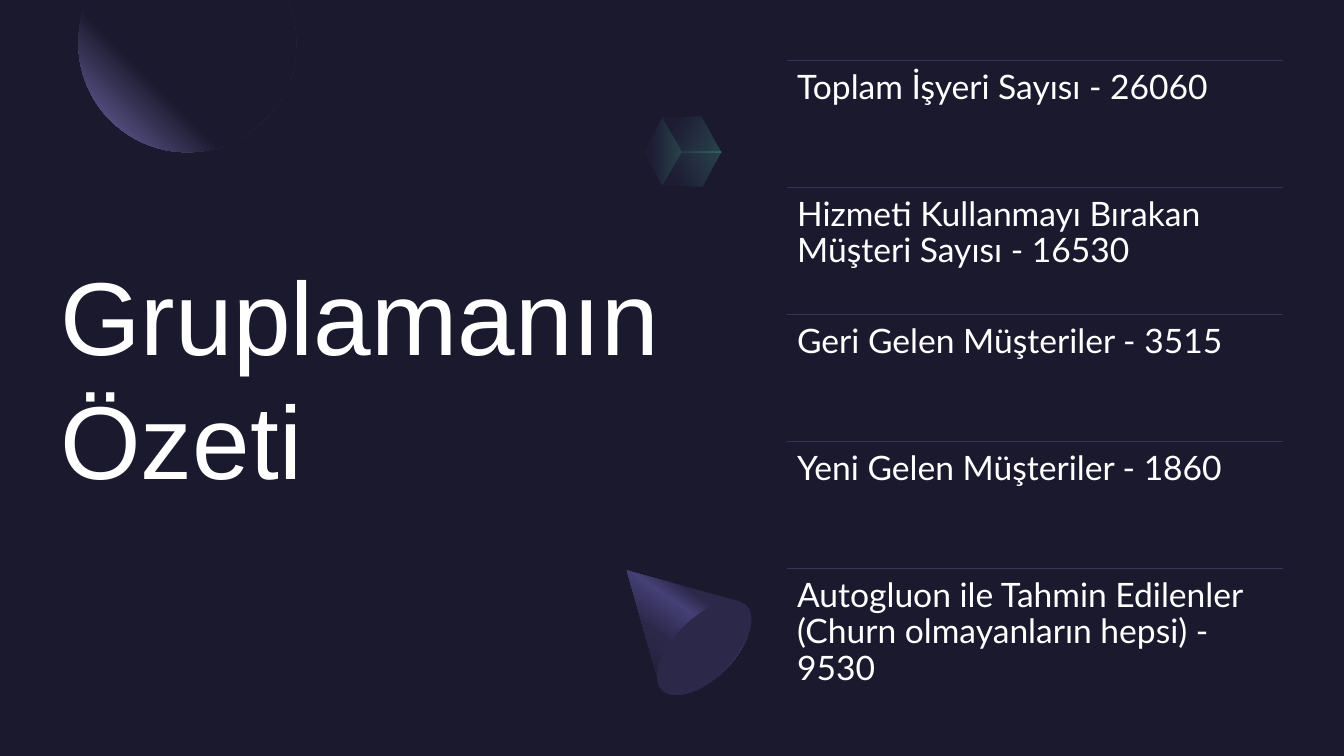
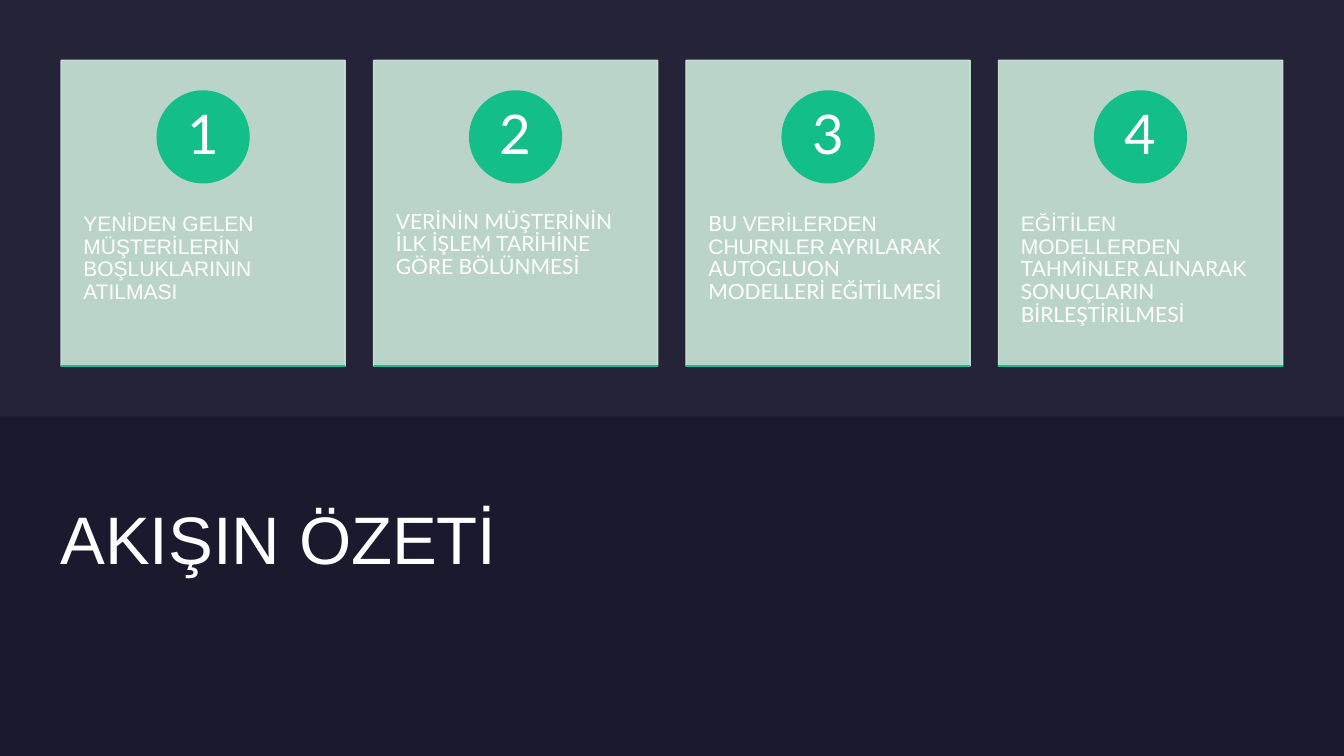
"""Build two dark slides: a grouping summary and a four-step flow summary."""
from dataclasses import dataclass

from lxml.etree import SubElement
from pptx import Presentation
from pptx.dml.color import RGBColor
from pptx.enum.shapes import MSO_CONNECTOR, MSO_SHAPE
from pptx.enum.text import MSO_ANCHOR, PP_ALIGN
from pptx.oxml.ns import qn
from pptx.util import Pt


@dataclass(frozen=True)
class Theme:
    """Colours, fonts and type sizes shared by the slides."""
    night: str = "1B192E"
    white: str = "FFFFFF"
    divider: str = "37335B"
    haze: str = "E4E3F0"
    mint: str = "CCE8DA"
    green: str = "13BE89"
    aqua: str = "5BEFC1"
    plum: str = "2C284A"
    violet: str = "454075"
    lilac: str = "7771B2"
    heading: str = "Arial"
    body: str = "Lato"
    hero_size: float = 74
    title_size: float = 48
    number_size: float = 39
    item_size: float = 24
    step_size: float = 15


THEME = Theme()
WIDTH, HEIGHT = 960, 540
MARGIN = 43.2

SUMMARY = [
    "Toplam İşyeri Sayısı - 26060",
    "Hizmeti Kullanmayı Bırakan Müşteri Sayısı - 16530",
    "Geri Gelen Müşteriler - 3515",
    "Yeni Gelen Müşteriler - 1860",
    "Autogluon ile Tahmin Edilenler (Churn olmayanların hepsi) - 9530",
]
STEPS = [
    [("YENİDEN GELEN MÜŞTERİLERİN BOŞLUKLARININ ATILMASI", THEME.heading)],
    [("VERİNİN MÜŞTERİNİN İLK İŞLEM TARİHİNE GÖRE BÖLÜNMESİ", THEME.body)],
    [("BU ", THEME.body), ("VERİLERDEN CHURNLER", THEME.heading),
     (" AYRILARAK AUTOGLUON MODELLERİ EĞİTİLMESİ", THEME.body)],
    [("EĞİTİLEN MODELLERDEN", THEME.heading),
     (" TAHMİNLER ALINARAK SONUÇLARIN BİRLEŞTİRİLMESİ", THEME.body)],
]
SPHERE = [
    [(62.6, 0)], [(205.2, 0)], [(205.6, 0.7)],
    [(209.4, 10.1), (211.6, 20.3), (211.6, 31)],
    [(211.6, 73.8), (176.6, 108.7), (133.9, 108.7)],
    [(90.9, 108.7), (56.1, 73.8), (56.1, 31)],
    [(56.1, 20.3), (58.2, 10.1), (62.1, 0.7)],
]
CUBE_FACES = [
    ([[(501.1, 83.6)], [(473, 84.2)], [(486.7, 108.7)], [(515.5, 108.7)]], 30),
    ([[(473, 132.5)], [(459.4, 108.7)], [(473, 84.2)], [(486.7, 108.7)]], 0),
    ([[(515.5, 108.7)], [(501.8, 133.2)], [(473, 132.5)], [(486.7, 108.7)]], 330),
]
CONE_SIDE = [
    [(447.8, 407.5)], [(529.2, 429.8)], [(529.9, 430.6)],
    [(531.4, 430.6), (532.1, 431.3), (533.5, 432.7)],
    [(541.4, 440.6), (535, 460.8), (518.4, 478.1)],
    [(501.8, 494.6), (481.7, 501.1), (473, 492.5)],
    [(472.3, 491.8), (471.6, 490.3), (470.9, 488.9)], [(470.9, 488.2)],
]


def apply_format(target, values):
    """Set each named attribute of the target."""
    for name, value in values.items():
        setattr(target, name, value)


def fade(fill_parent, opacity):
    """Give the colours below an element an opacity in percent."""
    for colour in fill_parent.iter(qn("a:srgbClr")):
        SubElement(colour, qn("a:alpha"), val=str(opacity * 1000))


def add_text(slide, box, runs, size, line_spacing=None, align=PP_ALIGN.LEFT,
             anchor=MSO_ANCHOR.TOP, insets=(0, 0)):
    """Add a wrapped text box with runs of (text, font) in one paragraph."""
    frame = slide.shapes.add_textbox(*map(Pt, box)).text_frame
    across, down = map(Pt, insets)
    apply_format(frame, {
        "word_wrap": True, "vertical_anchor": anchor,
        "margin_left": across, "margin_right": across,
        "margin_top": down, "margin_bottom": down})
    paragraph = frame.paragraphs[0]
    apply_format(paragraph, {"alignment": align, "line_spacing": line_spacing})
    for text, font in runs:
        run = paragraph.add_run()
        run.text = text
        apply_format(run.font, {"name": font, "size": Pt(size)})
        run.font.color.rgb = RGBColor.from_string(THEME.white)


def add_block(slide, preset, box, colour, opacity=100, outlined=False, turn=0):
    """Add a flat preset shape in one colour."""
    block = slide.shapes.add_shape(preset, *map(Pt, box))
    block.rotation = turn
    block.shadow.inherit = False
    block.fill.solid()
    block.fill.fore_color.rgb = RGBColor.from_string(colour)
    if outlined:
        block.line.color.rgb = RGBColor.from_string(colour)
        block.line.width = Pt(1)
    else:
        block.line.fill.background()
    if opacity < 100:
        fade(block.element.spPr, opacity)


def add_rule(slide, left, right, y, colour):
    """Add a thin horizontal line."""
    rule = slide.shapes.add_connector(
        MSO_CONNECTOR.STRAIGHT, Pt(left), Pt(y), Pt(right), Pt(y))
    rule.line.color.rgb = RGBColor.from_string(colour)
    rule.line.width = Pt(1)
    SubElement(rule.element.spPr, qn("a:effectLst"))


def bend(outline, segments):
    """Turn every three-point segment of an outline into a cubic curve."""
    lines = outline.element.spPr.iter(qn("a:lnTo"))
    remaining = iter(list(lines))
    for segment in segments:
        edges = [next(remaining) for _ in segment]
        if len(edges) == 3:
            curve = SubElement(edges[0].getparent(), qn("a:cubicBezTo"))
            edges[0].addprevious(curve)
            for edge in edges:
                curve.append(edge[0])
                edge.getparent().remove(edge)


def add_gradient_outline(slide, segments, stops, angle=None, opacity=100):
    """Add a closed outline with a linear gradient, or a radial one without angle."""
    points = [(Pt(x), Pt(y)) for segment in segments for x, y in segment]
    builder = slide.shapes.build_freeform(*points[0], scale=1.0)
    builder.add_line_segments(points[1:], close=True)
    outline = builder.convert_to_shape()
    bend(outline, segments[1:])
    outline.shadow.inherit = False
    outline.line.fill.background()
    outline.fill.gradient()
    gradient = outline.element.spPr.find(qn("a:gradFill"))
    for child in list(gradient):
        gradient.remove(child)
    stop_list = SubElement(gradient, qn("a:gsLst"))
    for position, colour in stops:
        stop = SubElement(stop_list, qn("a:gs"), pos=str(position * 1000))
        SubElement(stop, qn("a:srgbClr"), val=colour)
    if opacity < 100:
        fade(stop_list, opacity)
    if angle is None:
        radial = SubElement(gradient, qn("a:path"), path="circle")
        SubElement(radial, qn("a:fillToRect"), l="100000", b="100000")
    else:
        SubElement(gradient, qn("a:lin"), ang=str(angle * 60000), scaled="0")


def add_ornaments(slide):
    """Add the shaded sphere, the translucent cube and the tilted cone."""
    add_gradient_outline(slide, SPHERE, [(60, THEME.night), (100, THEME.lilac)])
    for face, angle in CUBE_FACES:
        add_gradient_outline(slide, face, [(20, THEME.plum), (100, THEME.aqua)],
                             angle, opacity=20)
    add_gradient_outline(
        slide, CONE_SIDE,
        [(30, THEME.plum), (40, THEME.violet), (60, THEME.plum), (100, THEME.night)],
        angle=125)
    add_block(slide, MSO_SHAPE.OVAL, (481.7, 420.5, 42.5, 85), THEME.plum, turn=45)


def add_summary_item(slide, index, text):
    """Add one ruled line of the summary list."""
    left, width, pitch = 562.3, 354.2, 90.72
    top = MARGIN + index * pitch
    add_rule(slide, left, left + width, top, THEME.divider)
    add_text(slide, (left, top, width, pitch), [(text, THEME.body)],
             THEME.item_size, line_spacing=0.9, insets=(7.2, 7.2))


def add_step_card(slide, index, runs):
    """Add one numbered card of the flow."""
    width, height, gap, badge, number = 203, 218.2, 20.2, 65.6, 46.4
    left = 43.6 + index * (width + gap)
    middle = left + width / 2
    add_block(slide, MSO_SHAPE.RECTANGLE, (left, MARGIN, width, height),
              THEME.mint, opacity=90, outlined=True)
    add_text(slide, (left, 126.3, width, 131), runs, THEME.step_size,
             line_spacing=0.9, insets=(16, 26))
    add_block(slide, MSO_SHAPE.OVAL, (middle - badge / 2, 65, badge, badge),
              THEME.green, outlined=True)
    add_text(slide, (middle - number / 2, 74.6, number, number),
             [(str(index + 1), THEME.body)], THEME.number_size, line_spacing=0.9,
             align=PP_ALIGN.CENTER, anchor=MSO_ANCHOR.MIDDLE, insets=(5, 0.7))
    add_rule(slide, left, left + width, MARGIN + height, THEME.green)


def build_summary(slide):
    """Fill the grouping summary slide."""
    add_text(slide, (MARGIN, 119.9, 428.4, 297.4),
             [("Gruplamanın Özeti", THEME.heading)], THEME.hero_size,
             anchor=MSO_ANCHOR.MIDDLE)
    add_ornaments(slide)
    for index, text in enumerate(SUMMARY):
        add_summary_item(slide, index, text)


def build_flow(slide):
    """Fill the flow summary slide."""
    add_text(slide, (MARGIN, 355, 575.3, 124.6),
             [("AKIŞIN ÖZETİ", THEME.heading)], THEME.title_size)
    add_block(slide, MSO_SHAPE.RECTANGLE, (0, 0, WIDTH, 297.4), THEME.haze, opacity=5)
    for index, runs in enumerate(STEPS):
        add_step_card(slide, index, runs)


def main():
    """Build and save the presentation."""
    deck = Presentation()
    apply_format(deck, {"slide_width": Pt(WIDTH), "slide_height": Pt(HEIGHT)})
    background = deck.slide_master.background.fill
    background.solid()
    background.fore_color.rgb = RGBColor.from_string(THEME.night)
    for build in (build_summary, build_flow):
        slide = deck.slides.add_slide(deck.slide_layouts[6])
        add_block(slide, MSO_SHAPE.RECTANGLE, (0, 0, WIDTH, HEIGHT), THEME.night)
        build(slide)
    deck.save("out.pptx")


if __name__ == "__main__":
    main()
